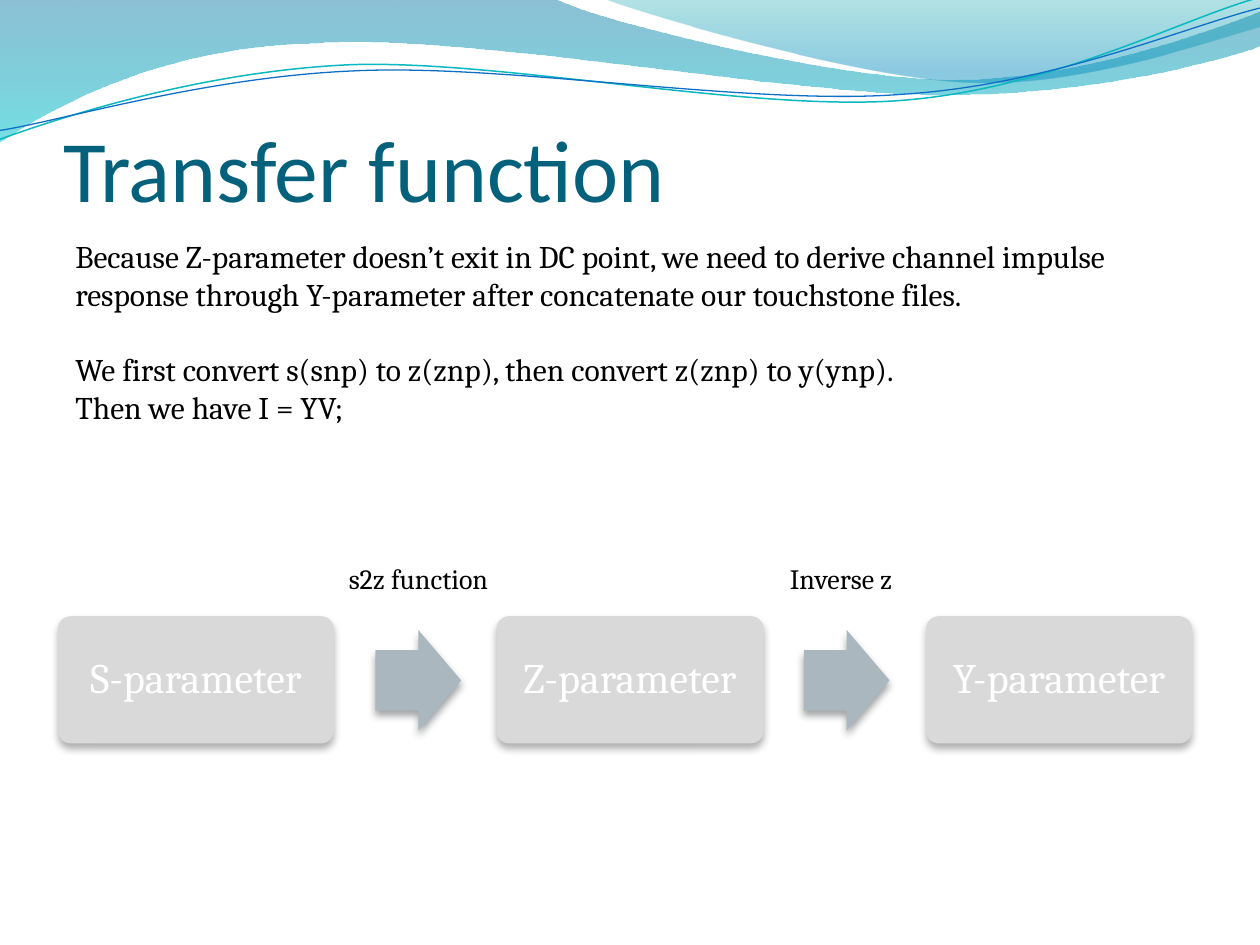
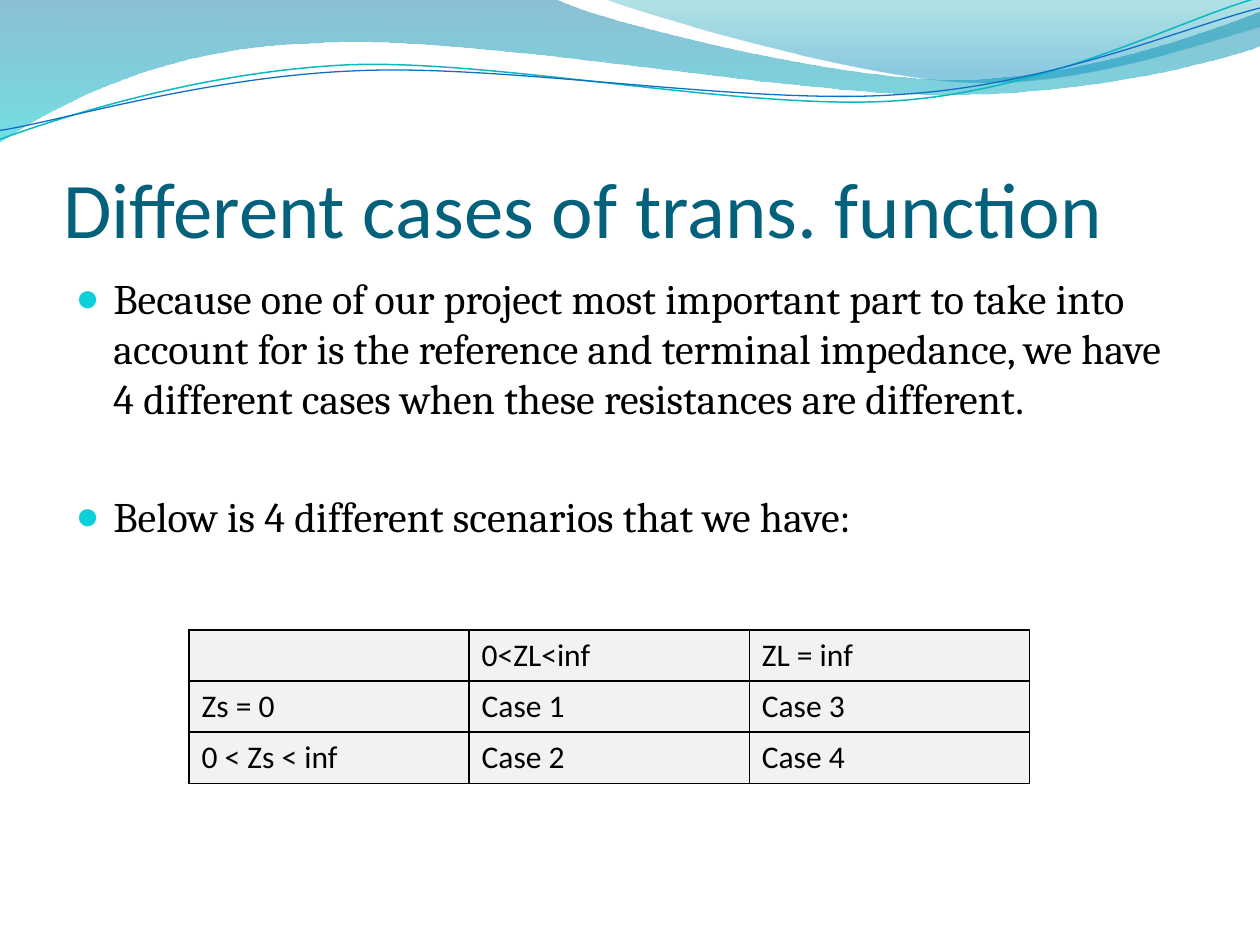
"""Build two slides on the transfer function and its impedance cases."""
from lxml import etree
from pptx import Presentation
from pptx import util as u
from pptx.dml.color import RGBColor
from pptx.enum import shapes, text
from pptx.oxml.ns import qn

PX = 9144
BLACK = RGBColor(0x00, 0x00, 0x00)
WHITE = RGBColor(0xFF, 0xFF, 0xFF)
TITLE_BLUE = RGBColor(0x04, 0x61, 0x7B)
BAND_BLUE = RGBColor(0x00, 0x74, 0xA1)
BAND_AQUA = RGBColor(0x00, 0xC6, 0xCF)
CREST_TEAL = RGBColor(0x00, 0xA1, 0xA9)
CREST_BLUE = RGBColor(0x00, 0x8B, 0xBF)
LINE_TEAL = RGBColor(0x0A, 0xB8, 0xBF)
LINE_BLUE = RGBColor(0x0F, 0x6F, 0xC6)
BULLET = RGBColor(0x0B, 0xD0, 0xD9)
BOX_GREY = RGBColor(0xD9, 0xD9, 0xD9)
ARROW_GREY = RGBColor(0xAB, 0xB7, 0xBF)
BOX_SHADOW = RGBColor(0x5A, 0x5A, 0x5A)
ARROW_SHADOW = RGBColor(0x3C, 0x40, 0x43)
CELL_GREY = RGBColor(0xF2, 0xF2, 0xF2)


def write(frame, lines, size, face="Cambria", color=BLACK):
    """Fill a text frame with lines in one font."""
    frame.text = "\n".join(lines)
    frame.word_wrap = True
    frame.auto_size = text.MSO_AUTO_SIZE.NONE
    for para in frame.paragraphs:
        for span in para.runs:
            span.font.name = face
            span.font.size = u.Pt(size)
            span.font.bold = False
            span.font.color.rgb = color


def add_block(page, kind, place, color, shade):
    """Add a flat preset shape with a soft shadow below it."""
    block = page.shapes.add_shape(kind, *[n * PX for n in place])
    block.fill.solid()
    block.fill.fore_color.rgb = color
    block.line.fill.background()
    block.shadow.inherit = False
    effects = block.element.spPr.find(qn("a:effectLst"))
    shadow = etree.SubElement(effects, qn("a:outerShdw"), blurRad="57150", dist="38100",
                              dir="5400000", algn="ctr", rotWithShape="0")
    tone = etree.SubElement(shadow, qn("a:srgbClr"), val=str(shade))
    etree.SubElement(tone, qn("a:alpha"), val="48000")
    return block


deck = Presentation()
deck.slide_width = 1000 * PX
deck.slide_height = 750 * PX
flow_page = deck.slides.add_slide(deck.slide_layouts[5])
cases_page = deck.slides.add_slide(deck.slide_layouts[1])

waves = [
    ([(0, 0), (440, -1), (476, 17, 664, 63, 758, 63), (853, 63, 958, 26, 1000, 9),
      (1001, 36), (983, 44, 870, 76, 746, 75), (622, 75, 382, 28, 257, 34),
      (129, 36, 46, 83, -1, 113)],
     [(0, BAND_BLUE, 45), (1, BAND_AQUA, 55)], None),
    ([(479, -1), (509, 11, 682, 62, 769, 65), (856, 69, 961, 32, 1000, 21), (1000, 0)],
     [(0, CREST_TEAL, 30), (0.8, CREST_BLUE, 45)], None),
    ([(-2, 87), (47, 72, 158, 41, 277, 41), (396, 42, 591, 93, 712, 90),
      (832, 87, 939, 36, 1000, 22)], None, (LINE_TEAL, 0.85)),
    ([(-2, 80), (46, 75, 164, 45, 283, 46), (403, 46, 596, 89, 716, 85),
      (835, 83, 942, 42, 1002, 30)], None, (LINE_BLUE, 0.75)),
]
master_tree = deck.slide_master.element.cSld.spTree
for order, (outline, stops, stroke) in enumerate(waves):
    points = [part[n:n + 2] for part in outline for n in range(0, len(part), 2)]
    builder = flow_page.shapes.build_freeform(*points[0], scale=PX)
    builder.add_line_segments(points[1:], close=stops is not None)
    wave = builder.convert_to_shape()
    segments = iter(list(wave.element.spPr.iter(qn("a:lnTo"))))
    for part in outline[1:]:
        segment = next(segments)
        if len(part) == 6:
            curve = etree.Element(qn("a:cubicBezTo"))
            segment.addprevious(curve)
            for handle in (segment, next(segments), next(segments)):
                curve.append(handle[0])
                handle.getparent().remove(handle)
    wave.shadow.inherit = False
    if stops:
        wave.line.fill.background()
        wave.fill.gradient()
        wave.fill.gradient_angle = 270
        for stop, (position, color, opacity) in zip(wave.fill.gradient_stops, stops):
            stop.position = position
            stop.color.rgb = color
        tones = wave.element.spPr.find(qn("a:gradFill")).iter(qn("a:srgbClr"))
        for tone, (position, color, opacity) in zip(list(tones), stops):
            etree.SubElement(tone, qn("a:alpha"), val=str(opacity * 1000))
    else:
        wave.rotation = 357.3
        wave.fill.background()
        wave.line.color.rgb, width = stroke
        wave.line.width = u.Pt(width)
    wave.element.nvSpPr.cNvPr.set("id", str(101 + order))
    master_tree.insert(2 + order, wave.element)

for page, heading, top, size in [
    (flow_page, "Transfer function", 50, 50),
    (cases_page, "Different cases of trans. function", 77, 45),
]:
    title = page.shapes.title
    title.left, title.top, title.width, title.height = 50 * PX, top * PX, 900 * PX, 125 * PX
    frame = title.text_frame
    write(frame, [heading], size, "Calibri", TITLE_BLUE)
    frame.vertical_anchor = text.MSO_ANCHOR.BOTTOM
    frame.margin_left = frame.margin_right = frame.margin_bottom = 0
    frame.margin_top = 5 * PX
    frame.paragraphs[0].alignment = text.PP_ALIGN.LEFT

for left, width, name in [(46, 219, "S-parameter"), (394, 212, "Z-parameter"),
                          (735, 211, "Y-parameter")]:
    box = add_block(flow_page, shapes.MSO_SHAPE.ROUNDED_RECTANGLE, (left, 489, width, 101),
                    BOX_GREY, BOX_SHADOW)
    box.adjustments[0] = 0.1
    frame = box.text_frame
    write(frame, [name], 24, color=WHITE)
    frame.margin_left = frame.margin_right = 5 * PX
    frame.vertical_anchor = text.MSO_ANCHOR.MIDDLE
    frame.paragraphs[0].alignment = text.PP_ALIGN.CENTER
    frame.paragraphs[0].line_spacing = 0.9

for left in (298, 638):
    arrow = add_block(flow_page, shapes.MSO_SHAPE.RIGHT_ARROW, (left, 500, 68, 80),
                      ARROW_GREY, ARROW_SHADOW)
    arrow.adjustments[0] = 0.6
    arrow.adjustments[1] = 0.5

notes = [
    ((267, 441, 142, 37), 16, ["s2z function"]),
    ((617, 441, 142, 37), 16, ["Inverse z"]),
    ((50, 183, 883, 192), 18, [
        "Because Z-parameter doesn’t exit in DC point, we need to derive channel impulse "
        "response through Y-parameter after concatenate our touchstone files.",
        "We first convert s(snp) to z(znp), then convert z(znp) to y(ynp).",
        "Then we have I = YV;"]),
]
for place, size, lines in notes:
    note = flow_page.shapes.add_textbox(*[n * PX for n in place])
    write(note.text_frame, lines, size)
note.text_frame.paragraphs[1].space_before = u.Pt(21.7)

body = cases_page.placeholders[1]
body.left, body.top, body.width, body.height = 50 * PX, 211 * PX, 900 * PX, 480 * PX
write(body.text_frame, [
    "Because one of our project most important part to take into account for is the "
    "reference and terminal impedance, we have 4 different cases when these resistances "
    "are different.",
    "Below is 4 different scenarios that we have:"], 24)
for para, gap in zip(body.text_frame.paragraphs, (0, 38.6)):
    para.space_before = u.Pt(gap)
    props = para._p.get_or_add_pPr()
    props.set("marL", str(30 * PX))
    props.set("indent", str(-30 * PX))
    tint = etree.SubElement(props, qn("a:buClr"))
    etree.SubElement(tint, qn("a:srgbClr"), val=str(BULLET))
    etree.SubElement(props, qn("a:buSzPct"), val="95000")
    etree.SubElement(props, qn("a:buChar"), char="●")

cases = [["", "0<ZL<inf", "ZL = inf"],
         ["Zs = 0", "Case 1", "Case 3"],
         ["0 < Zs < inf", "Case 2", "Case 4"]]
table = cases_page.shapes.add_table(3, 3, 150 * PX, 500 * PX, 667 * PX, 120 * PX).table
table.first_row = table.horz_banding = False
for column in table.columns:
    column.width = 667 * PX // 3
for row, values in zip(table.rows, cases):
    row.height = 40 * PX
    for cell, value in zip(row.cells, values):
        write(cell.text_frame, [value], 18, "Calibri")
        props = cell._tc.get_or_add_tcPr()
        for side in ("a:lnL", "a:lnR", "a:lnT", "a:lnB"):
            border = etree.SubElement(props, qn(side), w="12700")
            ink = etree.SubElement(border, qn("a:solidFill"))
            etree.SubElement(ink, qn("a:srgbClr"), val=str(BLACK))
        cell.fill.solid()
        cell.fill.fore_color.rgb = CELL_GREY

deck.save("out.pptx")
